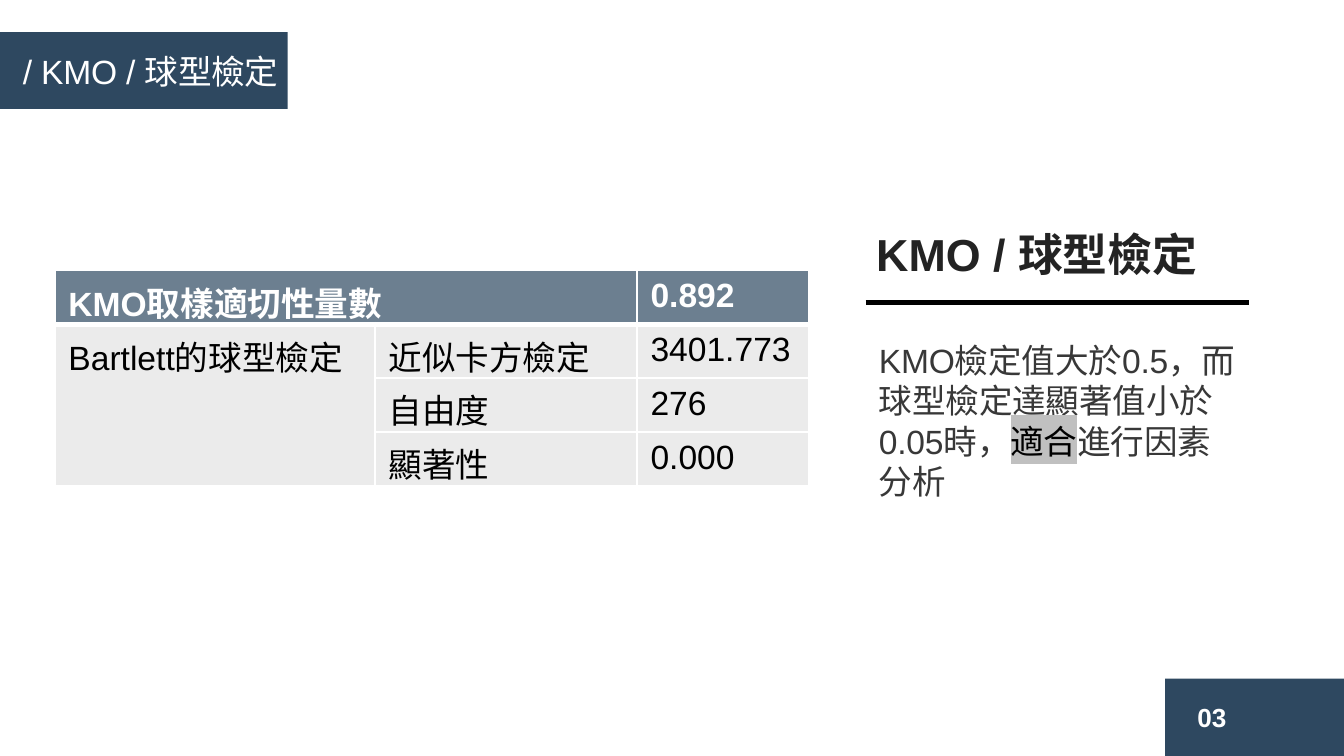
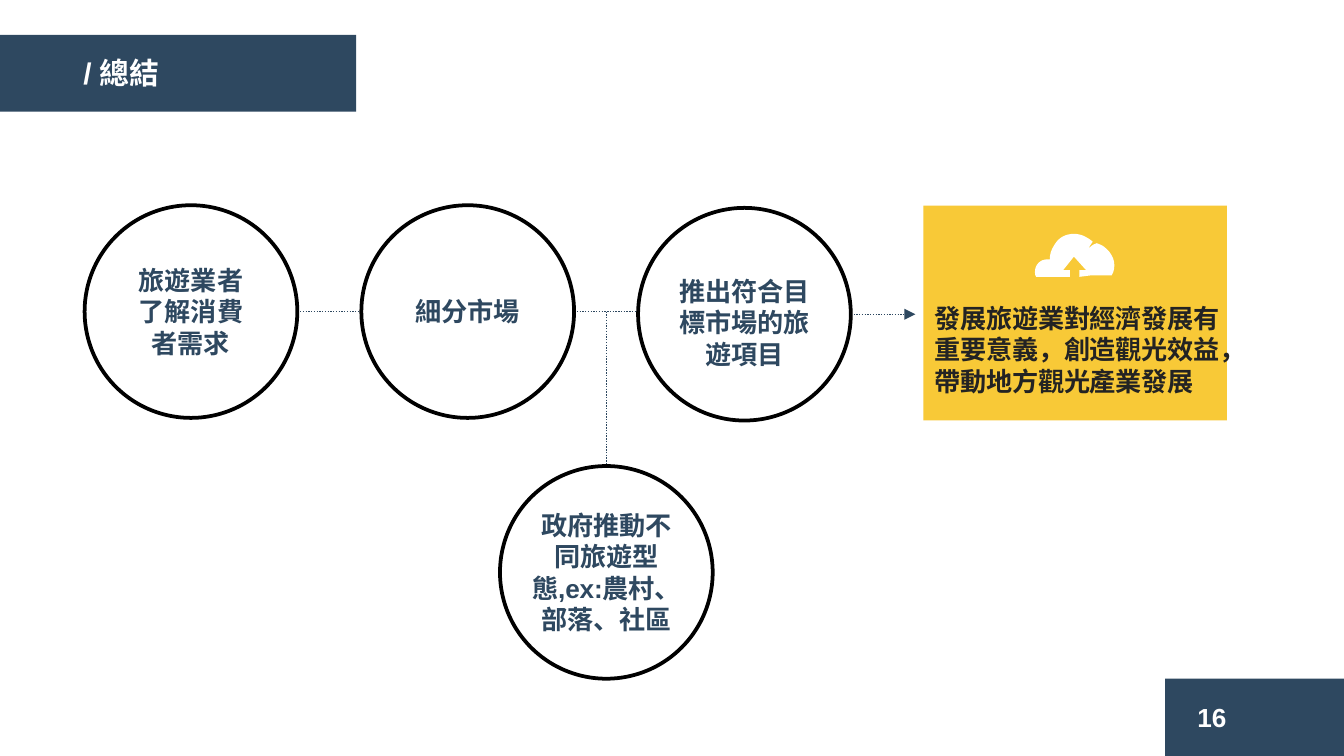
from lxml.etree import SubElement
from pptx import Presentation
from pptx.dml.color import RGBColor
from pptx.enum.dml import MSO_LINE
from pptx.enum.shapes import MSO_CONNECTOR, MSO_SHAPE
from pptx.enum.text import MSO_ANCHOR, PP_ALIGN
from pptx.oxml.ns import qn
from pptx.util import Cm, Pt

# ---------- Content ----------
COLORS = {
    "navy": "2E4860", "white": "FFFFFF", "black": "000000", "ink": "232323",
    "gray": "383838", "mark": "C0C0C0", "yellow": "F8C937",
    "table_head": "6C7F90", "table_body": "EBEBEB",
}
FONT = "Arial"

KMO = {
    "title": "/ KMO / 球型檢定",
    "page": "03",
    "heading": "KMO / 球型檢定",
    # (text, highlighted)
    "note": [
        ("KMO檢定值大於0.5，而球型檢定達顯著值小於0.05時，", False),
        ("適合", True),
        ("進行因素分析", False),
    ],
    "table": [
        ["KMO取樣適切性量數", "", "0.892"],
        ["Bartlett的球型檢定", "近似卡方檢定", "3401.773"],
        ["", "自由度", "276"],
        ["", "顯著性", "0.000"],
    ],
}
SUMMARY = {
    "title": "/ 總結",
    "page": "16",
    "needs": "旅遊業者了解消費者需求",
    # (text, centre x, centre y, label width, label height, label drop)
    "labels": [
        ("細分市場", 8.84, 5.89, 3.94, 0.86, 0),
        ("推出符合目標市場的旅遊項目", 14.07, 5.94, 3.35, 2.06, 0.17),
        ("政府推動不同旅遊型態,ex:農村、部落、社區", 11.46, 10.82, 3.35, 2.64, 0),
    ],
    "outcome": "發展旅遊業對經濟發展有重要意義，創造觀光效益，帶動地方觀光產業發展",
}
NEEDS_X, FLOW_Y, RADIUS = 3.61, 5.89, 2.01

# Cloud outline: one point is a line, three points are a Bézier curve
CLOUD_START = (29, 0)
CLOUD = [
    [(34, 0), (38, 2), (42, 5)], [(43, 6)],
    [(41, 8), (40, 11), (39, 13)], [(40, 10), (43, 8), (46, 7)],
    [(49, 8), (51, 9), (53, 11)], [(59, 16), (61, 25), (57, 31)],
    [(41, 31)], [(33, 32)], [(33, 27)], [(38, 27)], [(29, 17)],
    [(21, 27)], [(26, 27)], [(26, 32)], [(15, 32)], [(1, 32)],
    [(0, 31), (0, 29), (0, 28)], [(0, 23), (4, 19), (9, 19)], [(11, 19)],
    [(11, 14), (13, 10), (16, 6)], [(19, 2), (24, 0), (29, 0)],
]


# ---------- Helpers ----------
def rgb(name):
    return RGBColor.from_string(COLORS[name])


def format_run(run, size, color, bold=False, spacing=0):
    run.font.name = FONT
    run.font.size = Pt(size)
    run.font.bold = bold
    run.font.color.rgb = rgb(color)
    if spacing:
        run.font._element.set("spc", str(round(spacing * 100)))


def write(frame, text, size, color, bold=False, spacing=0, align=PP_ALIGN.LEFT):
    frame.word_wrap = True
    frame.text = text
    paragraph = frame.paragraphs[0]
    paragraph.alignment = align
    for run in paragraph.runs:
        format_run(run, size, color, bold, spacing)


def add_text(slide, box, text, size, color, **style):
    label = slide.shapes.add_textbox(*map(Cm, box))
    write(label.text_frame, text, size, color, **style)
    return label


def add_block(slide, kind, box, fill=None, outline=None):
    block = slide.shapes.add_shape(kind, *map(Cm, box))
    block.shadow.inherit = False
    if fill:
        block.fill.solid()
        block.fill.fore_color.rgb = rgb(fill)
    else:
        block.fill.background()
    if outline:
        block.line.color.rgb = rgb(outline)
        block.line.width = Pt(2)
    else:
        block.line.fill.background()
    return block


def add_line(slide, ends, color, width, dotted=False, arrow=False):
    line = slide.shapes.add_connector(MSO_CONNECTOR.STRAIGHT, *map(Cm, ends))
    line.line.color.rgb = rgb(color)
    line.line.width = Pt(width)
    if dotted:
        line.line.dash_style = MSO_LINE.ROUND_DOT
    properties = line._element.spPr
    if arrow:
        SubElement(properties.find(qn("a:ln")), qn("a:tailEnd"), type="triangle")
    SubElement(properties, qn("a:effectLst"))


def add_frame(prs, content, band, title_box, size, bold):
    """Slide with title band and page number."""
    slide = prs.slides.add_slide(prs.slide_layouts[5])
    add_block(slide, MSO_SHAPE.RECTANGLE, band, "navy")
    title = slide.shapes.title
    title.left, title.top, title.width, title.height = map(Cm, title_box)
    write(title.text_frame, content["title"], size, "white", bold, -0.1)
    title.text_frame.vertical_anchor = MSO_ANCHOR.TOP
    slide.shapes._spTree.append(title._element)  # in front of its band

    add_block(slide, MSO_SHAPE.RECTANGLE, (22.02, 12.83, 3.38, 1.46), "navy")
    add_text(slide, (22.38, 13.13, 1.27, 0.86), content["page"], 14, "white", bold=True)
    return slide


def add_border(cell, sides):
    properties = cell._tc.get_or_add_tcPr()
    for side, width in sides.items():
        border = SubElement(properties, qn(f"a:ln{side}"), w=str(Pt(width)))
        fill = SubElement(border, qn("a:solidFill"))
        SubElement(fill, qn("a:srgbClr"), val=COLORS["white"])


# ---------- KMO slide ----------
def add_kmo_table(slide):
    rows = KMO["table"]
    columns = (6.05, 4.95, 3.25)
    row_height = 1.02
    table = slide.shapes.add_table(
        len(rows), len(columns), Cm(1.04), Cm(5.11),
        Cm(sum(columns)), Cm(row_height * len(rows))).table
    for column, width in zip(table.columns, columns):
        column.width = Cm(width)
    table.cell(0, 0).merge(table.cell(0, 1))
    table.cell(1, 0).merge(table.cell(3, 0))
    for r, texts in enumerate(rows):
        table.rows[r].height = Cm(row_height)
        head = r == 0
        for c, text in enumerate(texts):
            cell = table.cell(r, c)
            add_border(cell, {"L": 1, "R": 1, "T": 3 if r == 1 else 1,
                              "B": 3 if head else 1})
            cell.fill.solid()
            cell.fill.fore_color.rgb = rgb("table_head" if head else "table_body")
            if text:
                write(cell.text_frame, text, 18, "white" if head else "black", head)


def add_kmo_note(slide):
    add_text(slide, (16.31, 4.17, 8.9, 1.27), KMO["heading"], 24, "ink", bold=True)
    add_line(slide, (16.36, 5.72, 23.6, 5.72), "black", 3)
    note = add_text(slide, (16.36, 6.3, 7.37, 3.33), "", 18, "gray")
    paragraph = note.text_frame.paragraphs[0]
    for text, marked in KMO["note"]:
        run = paragraph.add_run()
        run.text = text
        format_run(run, 18, "black" if marked else "gray", spacing=-0.1)
        if marked:
            properties = run.font._element
            highlight = SubElement(properties, qn("a:highlight"))
            SubElement(highlight, qn("a:srgbClr"), val=COLORS["mark"])
            properties.find(qn("a:solidFill")).addnext(highlight)


# ---------- Summary slide ----------
def add_circle(slide, x, y):
    box = (x - RADIUS, y - RADIUS, 2 * RADIUS, 2 * RADIUS)
    return add_block(slide, MSO_SHAPE.OVAL, box, outline="black")


def add_flow(slide):
    market, project, policy = [label[1:3] for label in SUMMARY["labels"]]
    links = [
        (NEEDS_X + RADIUS, FLOW_Y, market[0] - RADIUS, FLOW_Y),
        (market[0] + RADIUS, FLOW_Y, project[0] - RADIUS, FLOW_Y),
        (policy[0], FLOW_Y, policy[0], policy[1] - RADIUS),
        (project[0] + RADIUS, project[1], 17.3, project[1]),
    ]
    for link in links:
        add_line(slide, link, "navy", 0.75, dotted=True, arrow=link is links[-1])

    needs = add_circle(slide, NEEDS_X, FLOW_Y)
    write(needs.text_frame, SUMMARY["needs"], 14, "navy", True, align=PP_ALIGN.CENTER)
    needs.text_frame.vertical_anchor = MSO_ANCHOR.MIDDLE
    for text, x, y, width, height, drop in SUMMARY["labels"]:
        add_circle(slide, x, y)
        add_text(slide, (x - width / 2, y - height / 2 + drop, width, height), text,
                 14, "navy", bold=True, spacing=-0.1, align=PP_ALIGN.CENTER)


def cloud_points(steps=8):
    start = CLOUD_START
    for segment in CLOUD:
        if len(segment) == 1:
            yield segment[0]
        else:
            for t in (i / steps for i in range(1, steps + 1)):
                weights = ((1 - t) ** 3, 3 * t * (1 - t) ** 2, 3 * t * t * (1 - t), t ** 3)
                yield tuple(sum(w * p[axis] for w, p in zip(weights, [start, *segment]))
                            for axis in (0, 1))
        start = segment[-1]


def add_outcome(slide):
    add_block(slide, MSO_SHAPE.RECTANGLE, (17.45, 3.89, 5.74, 4.06), "yellow")
    detail = 10  # finer grid, as outline points are rounded to whole units
    builder = slide.shapes.build_freeform(
        CLOUD_START[0] * detail, CLOUD_START[1] * detail,
        scale=Cm(2.54) / (100 * detail))
    builder.add_line_segments([(x * detail, y * detail) for x, y in cloud_points()])
    cloud = builder.convert_to_shape(Cm(19.56), Cm(4.42))
    cloud.shadow.inherit = False
    cloud.fill.solid()
    cloud.fill.fore_color.rgb = rgb("white")
    cloud.line.fill.background()
    add_text(slide, (17.42, 5.59, 6.05, 2.06), SUMMARY["outcome"], 14, "ink",
             bold=True, spacing=-0.2)


def main():
    prs = Presentation()
    prs.slide_width, prs.slide_height = Cm(25.4), Cm(14.29)

    kmo = add_frame(prs, KMO, (0, 0.61, 5.44, 1.45), (0.18, 0.84, 5.74, 1.8), 18, False)
    add_kmo_table(kmo)
    add_kmo_note(kmo)

    summary = add_frame(prs, SUMMARY, (0, 0.66, 6.73, 1.45), (1.32, 0.91, 5.94, 0.94), 16, True)
    add_flow(summary)
    add_outcome(summary)

    prs.save("out.pptx")


if __name__ == "__main__":
    main()
